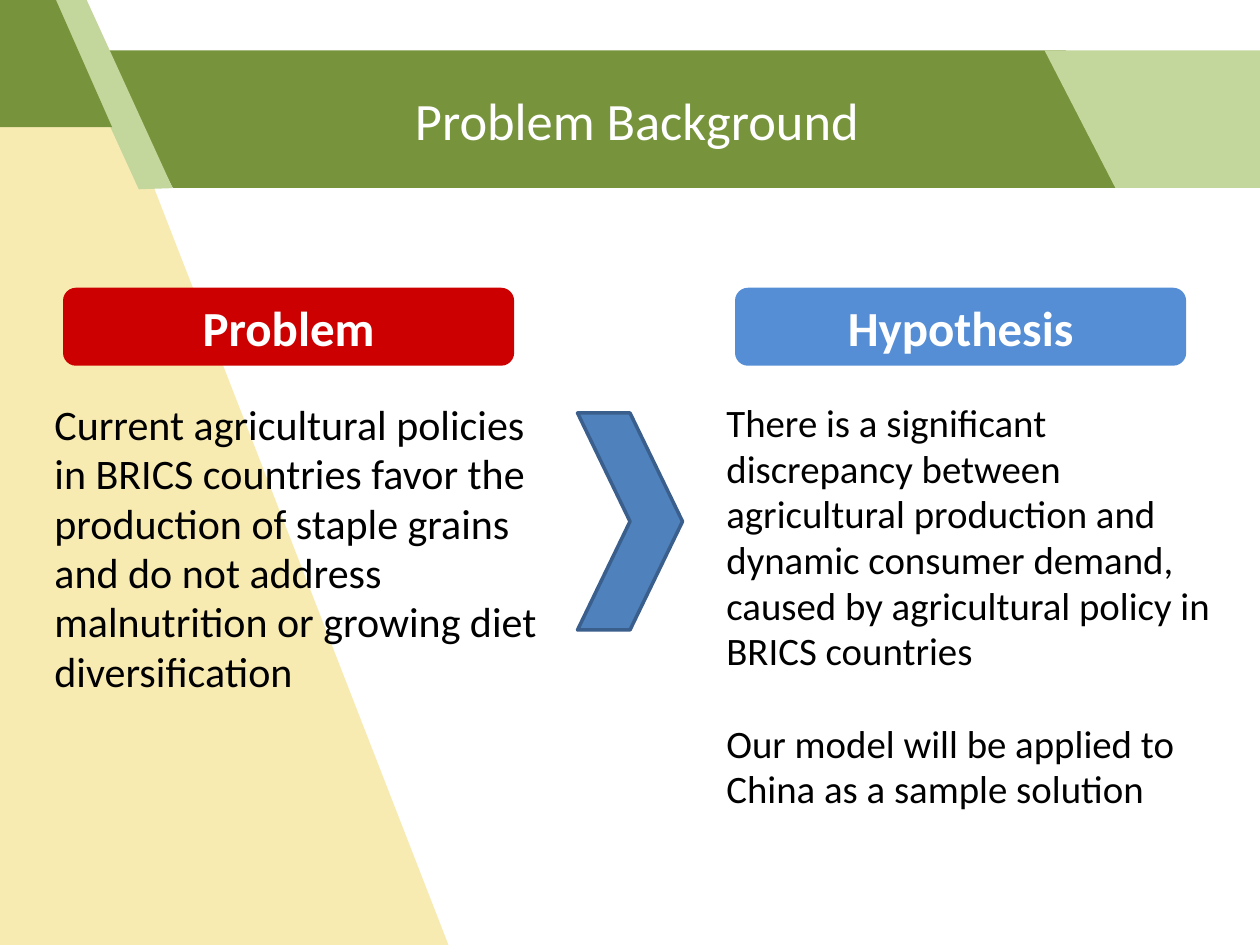
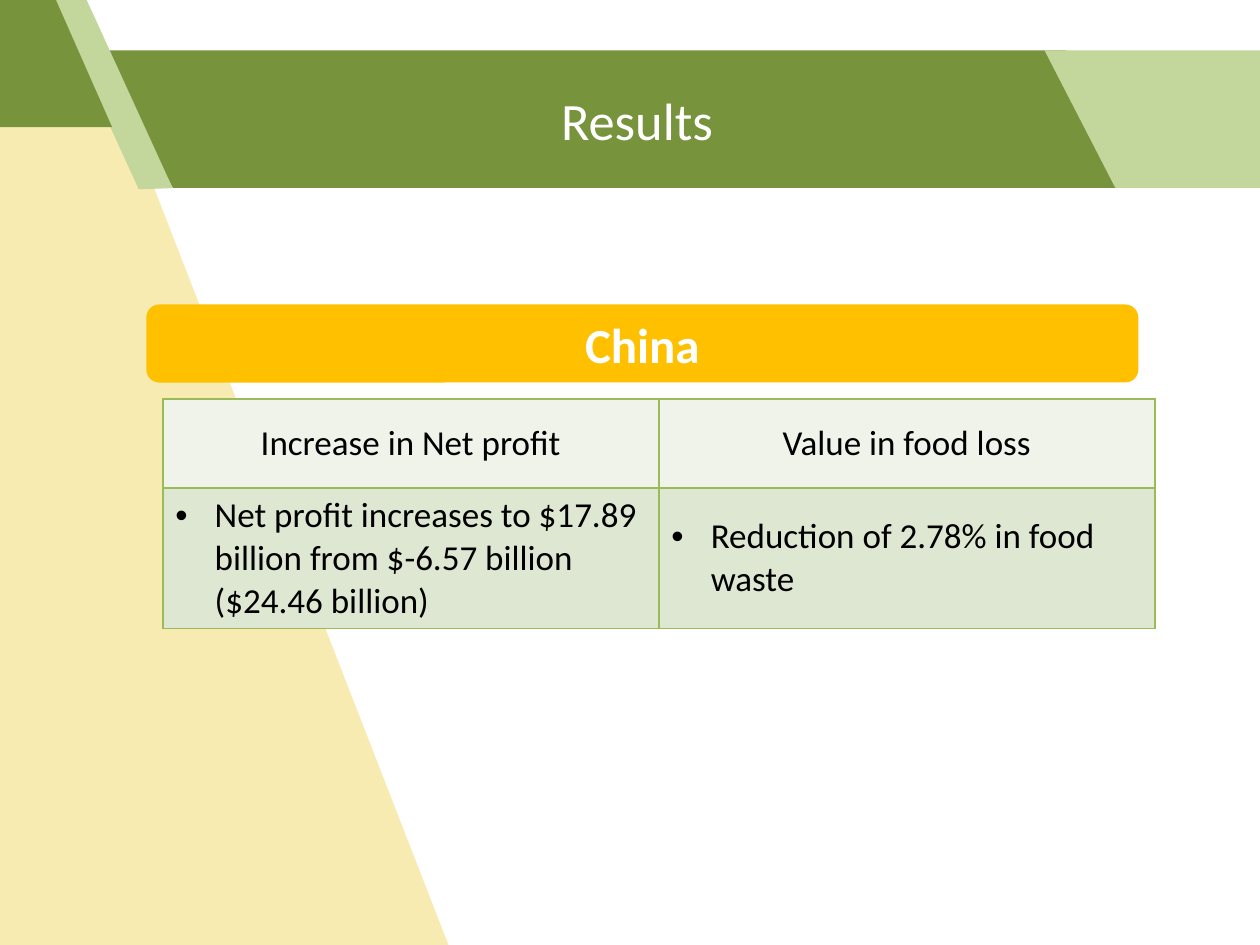
from lxml import etree
from pptx import Presentation
from pptx.dml.color import RGBColor
from pptx.enum import shapes as kinds, text as txt
from pptx.oxml.ns import qn
from pptx.util import Pt

COLORS = {
    "green": "77933C", "pale_green": "C3D69B", "gold": "EABD00",
    "white": "FFFFFF", "black": "000000", "red": "CC0000",
    "blue": "558ED5", "amber": "FFC000",
    "arrow": "4F81BD", "arrow_edge": "3A5F8C",
    "grid": "9BBB59", "head_row": "EFF3EA", "result_row": "DEE7D1",
}
FONT = "Calibri"
INSET = 7.2

BANDS = [
    ((58.3, 28.8, 591.1, 78.5), 0.515, 0, "green"),
    ((596.9, 28.8, 166.3, 78.5), 0.515, 0, "pale_green"),
    ((23.8, -19.4, 72.7, 128.2), 0.733, 358, "pale_green"),
    ((-112.3, -5.8, 176.4, 78.5), 0.442, 0, "green"),
]
WEDGE = [(256.3, 540), (44.6, -4.3), (-4.3, -3.6), (-1.4, 543.6)]
TITLE_BOX = (99.4, 28.8, 529.2, 78.5)

ARGUMENT = {
    "title": "Problem Background",
    "columns": [
        ("Problem", "red", 24, [
            "Current agricultural policies in BRICS countries favor the production "
            "of staple grains and do not address malnutrition or growing diet "
            "diversification"]),
        ("Hypothesis", "blue", 22.2, [
            "There is a significant discrepancy between agricultural production and "
            "dynamic consumer demand, caused by agricultural policy in BRICS countries",
            "Our model will be applied to China as a sample solution"]),
    ],
}
RESULTS = {
    "title": "Results",
    "country": "China",
    "measures": [
        ("Increase in Net profit",
         "Net profit increases to $17.89 billion from $-6.57 billion ($24.46 billion)"),
        ("Value in food loss", "Reduction of 2.78% in food waste"),
    ],
}
COLUMN_LEFT, COLUMN_PITCH = 24, 384
LABEL_SIZE = (257.8, 44.6)
TABLE_ROWS = (50.8, 80.5)


def color(name):
    return RGBColor.from_string(COLORS[name])


def points(values):
    return [Pt(value) for value in values]


def paint(shape, fill, edge=None):
    shape.shadow.inherit = False
    shape.fill.solid()
    shape.fill.fore_color.rgb = color(fill)
    if edge:
        shape.line.color.rgb = color(edge)
        shape.line.width = Pt(2)
    else:
        shape.line.fill.background()
    return shape


def add_preset(slide, kind, box, fill, edge=None):
    return paint(slide.shapes.add_shape(kind, *points(box)), fill, edge)


def style(paragraph, size, ink, align=txt.PP_ALIGN.LEFT, bold=False):
    paragraph.alignment = align
    for run in paragraph.runs:
        run.font.name = FONT
        run.font.size = Pt(size)
        run.font.bold = bold
        run.font.color.rgb = color(ink)


def prepare(frame, anchor):
    frame.word_wrap = True
    frame.vertical_anchor = anchor
    frame.margin_left = frame.margin_right = Pt(INSET)
    frame.margin_top = frame.margin_bottom = Pt(INSET)


def centre_text(shape, words, size, bold=False):
    frame = shape.text_frame
    prepare(frame, txt.MSO_ANCHOR.MIDDLE)
    frame.text = words
    style(frame.paragraphs[0], size, "white", txt.PP_ALIGN.CENTER, bold)


def add_label(slide, words, box, fill):
    label = add_preset(slide, kinds.MSO_SHAPE.ROUNDED_RECTANGLE, box, fill)
    centre_text(label, words, 28, bold=True)


def start_slide(deck, title):
    slide = deck.slides.add_slide(deck.slide_layouts[6])
    outline = slide.shapes.build_freeform(*points(WEDGE[0]), scale=1.0)
    outline.add_line_segments([points(corner) for corner in WEDGE[1:]])
    wedge = paint(outline.convert_to_shape(), "gold")
    tint = wedge.element.spPr.find(".//" + qn("a:srgbClr"))
    etree.SubElement(tint, qn("a:alpha"), val="30000")
    for box, slant, turn, fill in BANDS:
        band = add_preset(slide, kinds.MSO_SHAPE.PARALLELOGRAM, box, fill)
        band.adjustments[0] = slant
        band.rotation = turn
        band.element.spPr.find(qn("a:xfrm")).set("flipH", "1")
    centre_text(slide.shapes.add_textbox(*points(TITLE_BOX)), title, 30)
    return slide


def build_argument(deck):
    slide = start_slide(deck, ARGUMENT["title"])
    for index, (heading, fill, size, statements) in enumerate(ARGUMENT["columns"]):
        left = COLUMN_LEFT + index * COLUMN_PITCH
        body = slide.shapes.add_textbox(*points((left, 221.8, 300, 228))).text_frame
        prepare(body, txt.MSO_ANCHOR.TOP)
        body.text = "\n".join(statements)
        for position, paragraph in enumerate(body.paragraphs):
            style(paragraph, size, "black")
            paragraph.line_spacing = 0.98
            paragraph.space_before = Pt(26.7 if position else 0)
        add_label(slide, heading, (left + 12, 164.4, *LABEL_SIZE), fill)
    add_preset(slide, kinds.MSO_SHAPE.CHEVRON, (330, 236, 60, 124), "arrow", "arrow_edge")


def border(cell):
    properties = cell._tc.get_or_add_tcPr()
    for side in ("lnL", "lnR", "lnT", "lnB"):
        line = etree.SubElement(properties, qn("a:" + side), w=str(Pt(1)))
        solid = etree.SubElement(line, qn("a:solidFill"))
        etree.SubElement(solid, qn("a:srgbClr"), val=COLORS["grid"])


def add_bullet(paragraph):
    properties = paragraph._p.get_or_add_pPr()
    properties.set("marL", str(Pt(22.5)))
    properties.set("indent", str(-Pt(22.5)))
    etree.SubElement(properties, qn("a:buFont"), typeface="Arial")
    etree.SubElement(properties, qn("a:buChar"), char="•")


def build_results(deck):
    slide = start_slide(deck, RESULTS["title"])
    add_label(slide, RESULTS["country"], (83.6, 174, 566.9, 44.6), "amber")
    measures = RESULTS["measures"]
    box = (93, 228, 566.9, sum(TABLE_ROWS))
    table = slide.shapes.add_table(2, len(measures), *points(box)).table
    table.first_row = table.horz_banding = False
    for row, height in zip(table.rows, TABLE_ROWS):
        row.height = Pt(height)
    for column, measure in enumerate(measures):
        for row, words in enumerate(measure):
            cell = table.cell(row, column)
            border(cell)
            cell.fill.solid()
            cell.fill.fore_color.rgb = color("result_row" if row else "head_row")
            cell.vertical_anchor = txt.MSO_ANCHOR.MIDDLE
            cell.text_frame.text = words
            paragraph = cell.text_frame.paragraphs[0]
            style(paragraph, 20, "black",
                  txt.PP_ALIGN.LEFT if row else txt.PP_ALIGN.CENTER)
            if row:
                add_bullet(paragraph)


def main():
    deck = Presentation()
    deck.slide_width, deck.slide_height = Pt(720), Pt(540)
    build_argument(deck)
    build_results(deck)
    deck.save("out.pptx")


if __name__ == "__main__":
    main()
